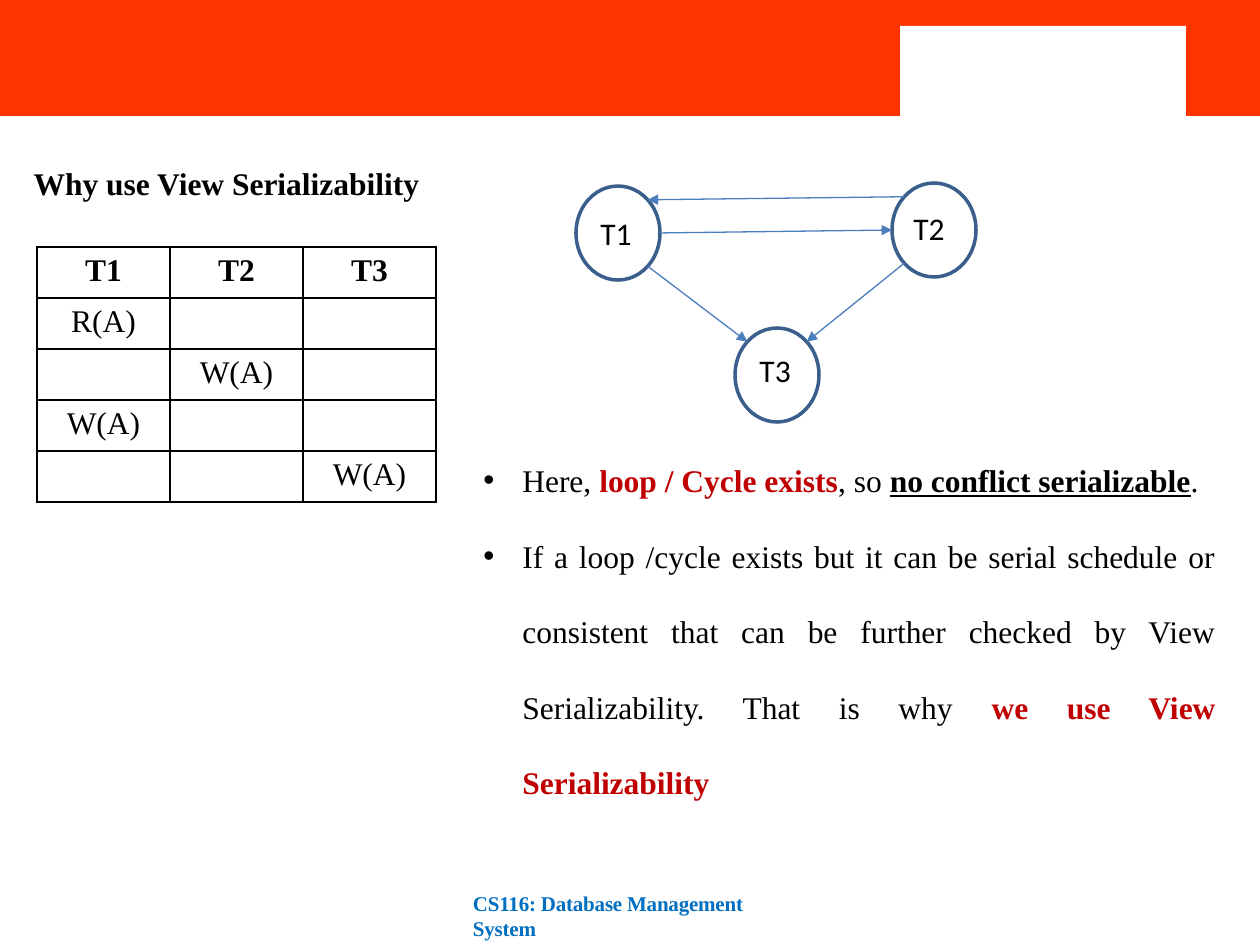
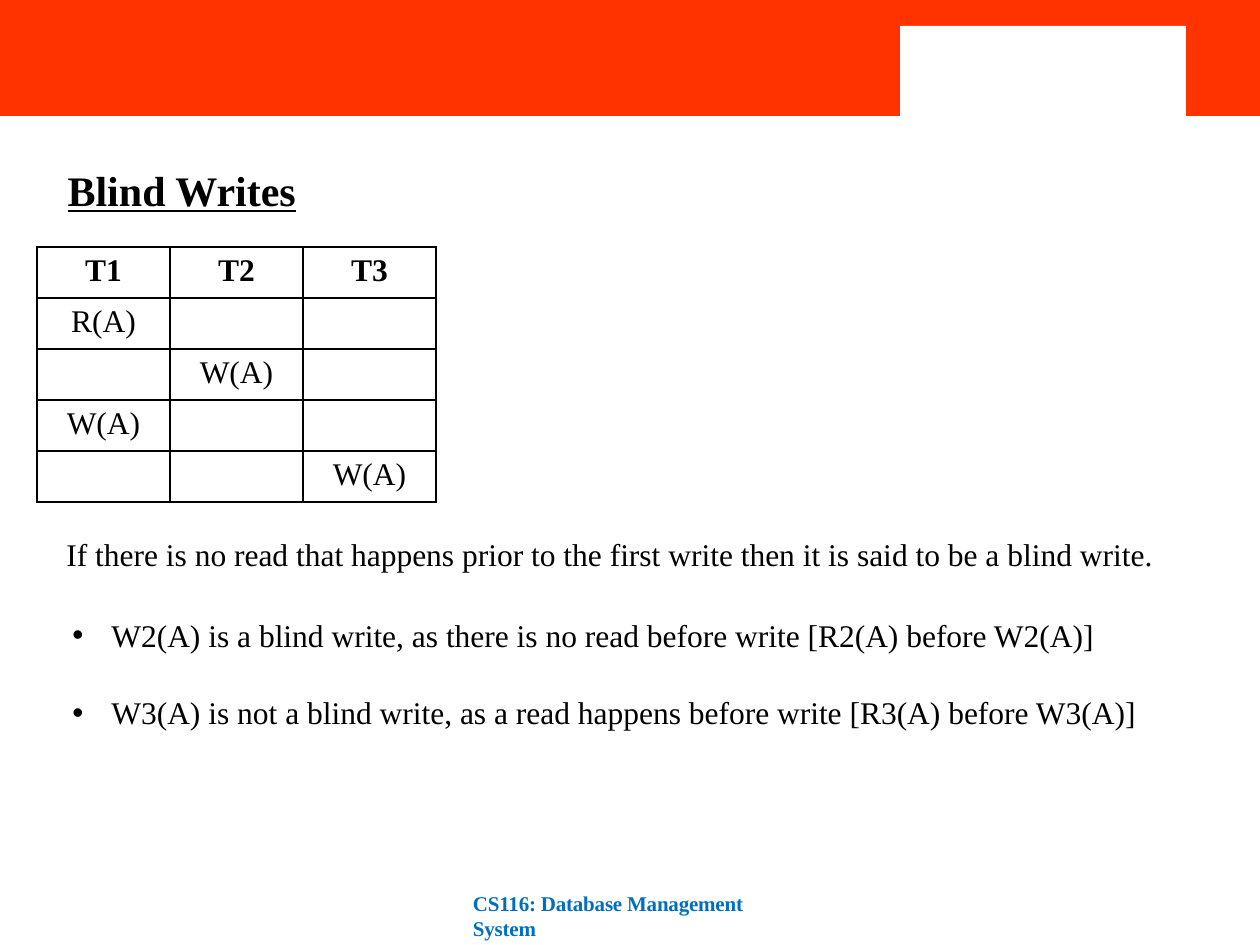
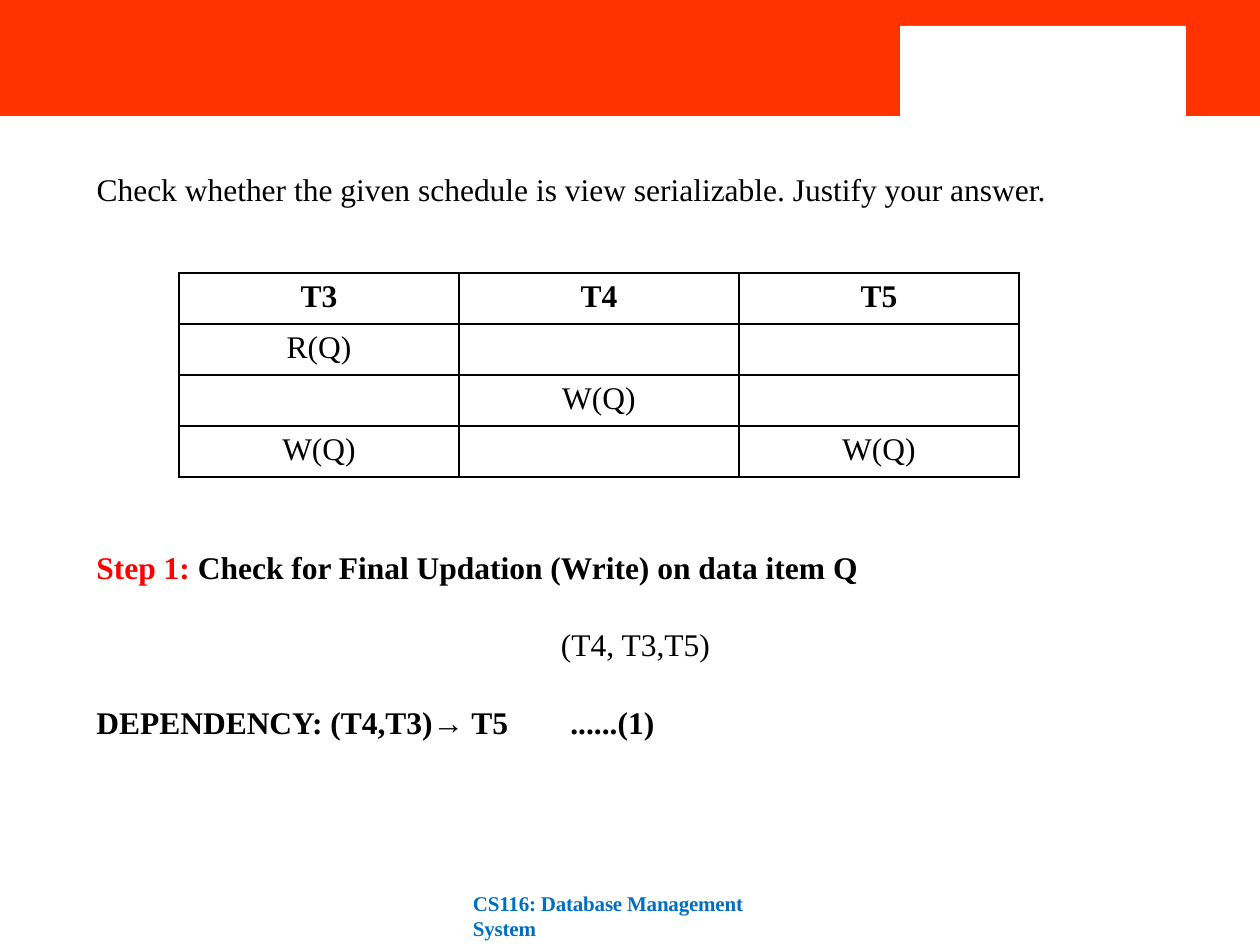
from dataclasses import dataclass

from lxml import etree
from pptx import Presentation
from pptx import util as u
from pptx.dml.color import RGBColor
from pptx.enum import shapes, text
from pptx.oxml.ns import qn

SCALE = 914400 / 126  # EMU in one px


@dataclass(frozen=True)
class Theme:
    band: str = "FF3300"
    paper: str = "FFFFFF"
    ink: str = "000000"
    foot: str = "006FC0"
    alert: str = "C00000"
    step: str = "FF0000"
    ring: str = "3A5F8C"
    arrow: str = "4B7EBC"
    serif: str = "Times New Roman"
    sans: str = "Calibri"
    head: int = 24
    body: int = 18
    small: int = 12
    gap: float = 22.5


def px(*sizes):
    return [u.Emu(round(size * SCALE)) for size in sizes]


def rgb(code):
    return RGBColor.from_string(code)


def sub(parent, tag, **attrs):
    return etree.SubElement(parent, qn(tag), attrs)


def rim(node, across, down):
    """Point on the ellipse in the direction (across, down), each -1, 0 or 1."""
    left, top, width, height = node
    reach = 0.5 / (across ** 2 + down ** 2) ** 0.5
    return (left + width * (0.5 + across * reach),
            top + height * (0.5 + down * reach))


class Deck:
    def __init__(self, theme):
        self.theme = theme
        self.prs = Presentation()
        self.prs.slide_width, self.prs.slide_height = px(1260, 945)
        self.slide = None

    def new(self, title, box, size=None, **style):
        """Start a slide with its title, band and footer."""
        self.slide = self.prs.slides.add_slide(self.prs.slide_layouts[5])
        head = self.slide.shapes.title
        head.left, head.top, head.width, head.height = px(*box)
        frame = head.text_frame
        frame.text = title
        frame.word_wrap = False
        frame.auto_size = text.MSO_AUTO_SIZE.NONE
        frame.vertical_anchor = text.MSO_ANCHOR.TOP
        frame.paragraphs[0].alignment = text.PP_ALIGN.LEFT
        self.font(frame.paragraphs[0].runs[0], size=size, **style)
        self.block((0, 0, 1260, 116), self.theme.band)
        self.block((900, 26, 286, 95), self.theme.paper)
        self.footer()

    def font(self, run, size=None, name=None, color=None,
             bold=False, line=False):
        font = run.font
        font.size = u.Pt(size or self.theme.body)
        font.name = name or self.theme.serif
        font.color.rgb = rgb(color or self.theme.ink)
        font.bold = bold
        font.underline = line

    def block(self, box, color):
        shape = self.slide.shapes.add_shape(
            shapes.MSO_SHAPE.RECTANGLE, *px(*box))
        shape.shadow.inherit = False
        shape.fill.solid()
        shape.fill.fore_color.rgb = rgb(color)
        shape.line.fill.background()

    def text(self, box, paras, wrap=True):
        """Add paragraphs, each a list of (words, style) runs."""
        frame = self.slide.shapes.add_textbox(*px(*box)).text_frame
        frame.word_wrap = wrap
        for i, runs in enumerate(paras):
            para = frame.add_paragraph() if i else frame.paragraphs[0]
            for words, style in runs:
                run = para.add_run()
                run.text = words
                self.font(run, **style)
        return frame

    def footer(self):
        style = dict(size=self.theme.small, color=self.theme.foot, bold=True)
        frame = self.text((472, 891, 289, 26),
                          [[("CS116: Database Management System", style)]])
        frame.margin_left, frame.margin_right = px(1, 0)
        frame.margin_top = frame.margin_bottom = 0
        para = frame.paragraphs[0]
        para.line_spacing = u.Pt(14.1)
        para.runs[0].font._element.set("spc", "-10")

    def bullets(self, box, paras):
        frame = self.text(box, paras)
        indent = px(39)[0]
        for para in frame.paragraphs:
            props = para._p.get_or_add_pPr()
            props.set("marL", str(indent))
            props.set("indent", str(-indent))
            sub(props, "a:buFont", typeface="Arial")
            sub(props, "a:buChar", char="•")
        return frame

    def table(self, spot, col, rows, row=51):
        count = len(rows[0])
        grid = self.slide.shapes.add_table(
            len(rows), count,
            *px(*spot, col * count, row * len(rows))).table
        grid.first_row = grid.horz_banding = False
        for column in grid.columns:
            column.width = px(col)[0]
        for r, words in enumerate(rows):
            grid.rows[r].height = px(row)[0]
            for c, word in enumerate(words):
                self.cell(grid.cell(r, c), word, bold=r == 0)

    def cell(self, cell, word, bold):
        cell.fill.background()
        cell.text = word
        para = cell.text_frame.paragraphs[0]
        para.alignment = text.PP_ALIGN.CENTER
        para.font.size = u.Pt(self.theme.body)
        for run in para.runs:
            self.font(run, bold=bold)
        props = cell._tc.get_or_add_tcPr()
        for i, side in enumerate("LRTB"):
            edge = sub(props, f"a:ln{side}", w=str(u.Pt(1)))
            sub(sub(edge, "a:solidFill"), "a:srgbClr", val=self.theme.ink)
            props.insert(i, edge)

    def ring(self, box):
        shape = self.slide.shapes.add_shape(shapes.MSO_SHAPE.OVAL, *px(*box))
        shape.shadow.inherit = False
        shape.fill.background()
        shape.line.color.rgb = rgb(self.theme.ring)
        shape.line.width = u.Pt(2)

    def arrow(self, start, end):
        link = self.slide.shapes.add_connector(
            shapes.MSO_CONNECTOR.STRAIGHT, *px(*start, *end))
        link.line.color.rgb = rgb(self.theme.arrow)
        link.line.width = u.Pt(0.75)
        sub(link.line._get_or_add_ln(), "a:tailEnd", type="triangle")
        sub(link._element.spPr, "a:effectLst")


def graph(deck):
    """Draw the precedence graph of T1, T2 and T3."""
    one, two, three = nodes = [(*spot, 84, 94) for spot in
                               ((576, 186), (892, 183), (735, 328))]
    for node in nodes:
        deck.ring(node)
    deck.arrow(rim(one, 1, 0), rim(two, -1, 0))
    deck.arrow(rim(two, -1, 1), rim(three, 1, -1))
    deck.arrow(rim(one, 1, 1), rim(three, -1, -1))
    deck.arrow(rim(two, -1, -1), rim(one, 1, -1))
    spots = ((588, 208), (901, 203), (747, 345))
    for i, spot in enumerate(spots, 1):
        deck.text((*spot, 57, 50),
                  [[(f"T{i}", dict(name=deck.theme.sans))]], wrap=False)


def main():
    theme = Theme()
    deck = Deck(theme)
    plain, bold = {}, dict(bold=True)
    alert = dict(color=theme.alert, bold=True)
    plan = [("T1", "T2", "T3"), ("R(A)", "", ""), ("", "W(A)", ""),
            ("W(A)", "", ""), ("", "", "W(A)")]

    deck.new("Why use View Serializability", (21, 158, 414, 50), bold=True)
    deck.table((37, 247), 133, plan)
    graph(deck)
    notes = deck.bullets((471, 417, 757, 394), [
        [("Here, ", plain), ("loop / Cycle exists", alert), (", so ", plain),
         ("no conflict serializable", dict(bold=True, line=True)),
         (".", plain)],
        [("If a loop /cycle exists but it can be serial schedule or "
          "consistent that can be further checked by View Serializability. "
          "That is why ", plain),
         ("we use View Serializability", alert)]])
    for para in notes.paragraphs:
        para.alignment = text.PP_ALIGN.JUSTIFY
        para.line_spacing = 2.0

    deck.new("Blind Writes", (55, 158, 256, 63), size=theme.head,
             bold=True, line=True)
    deck.table((37, 247), 133, plan)
    deck.text((54, 529, 1153, 50), [
        [("If there is no read that happens prior to the first write "
          "then it is said to be a blind write.", plain)]])
    cases = deck.bullets((60, 610, 1148, 127), [
        [("W2(A) is a blind write, as there is no read before write "
          "[R2(A) before W2(A)]", plain)],
        [("W3(A) is not a blind write, as a read happens before write "
          "[R3(A) before W3(A)]", plain)]])
    cases.paragraphs[1].space_before = u.Pt(theme.gap)

    deck.new("Check whether the given schedule is view serializable. "
             "Justify your answer.", (84, 164, 1103, 50))
    deck.table((179, 273), 280, [
        ("T3", "T4", "T5"), ("R(Q)", "", ""), ("", "W(Q)", ""),
        ("W(Q)", "", "W(Q)")])
    steps = deck.text((84, 542, 1103, 208), [
        [("Step 1:", dict(color=theme.step, bold=True)),
         (" Check for Final Updation (Write) on data item Q", bold)],
        [("(T4, T3,T5)", plain)],
        [("DEPENDENCY: (T4,T3)→ T5\t......(1)", bold)]])
    _, order, rule = steps.paragraphs
    order.alignment = text.PP_ALIGN.CENTER
    order.space_before = rule.space_before = u.Pt(theme.gap)
    tabs = sub(rule._p.get_or_add_pPr(), "a:tabLst")
    sub(tabs, "a:tab", pos=str(px(474)[0]), algn="l")

    deck.prs.save("out.pptx")


if __name__ == "__main__":
    main()
